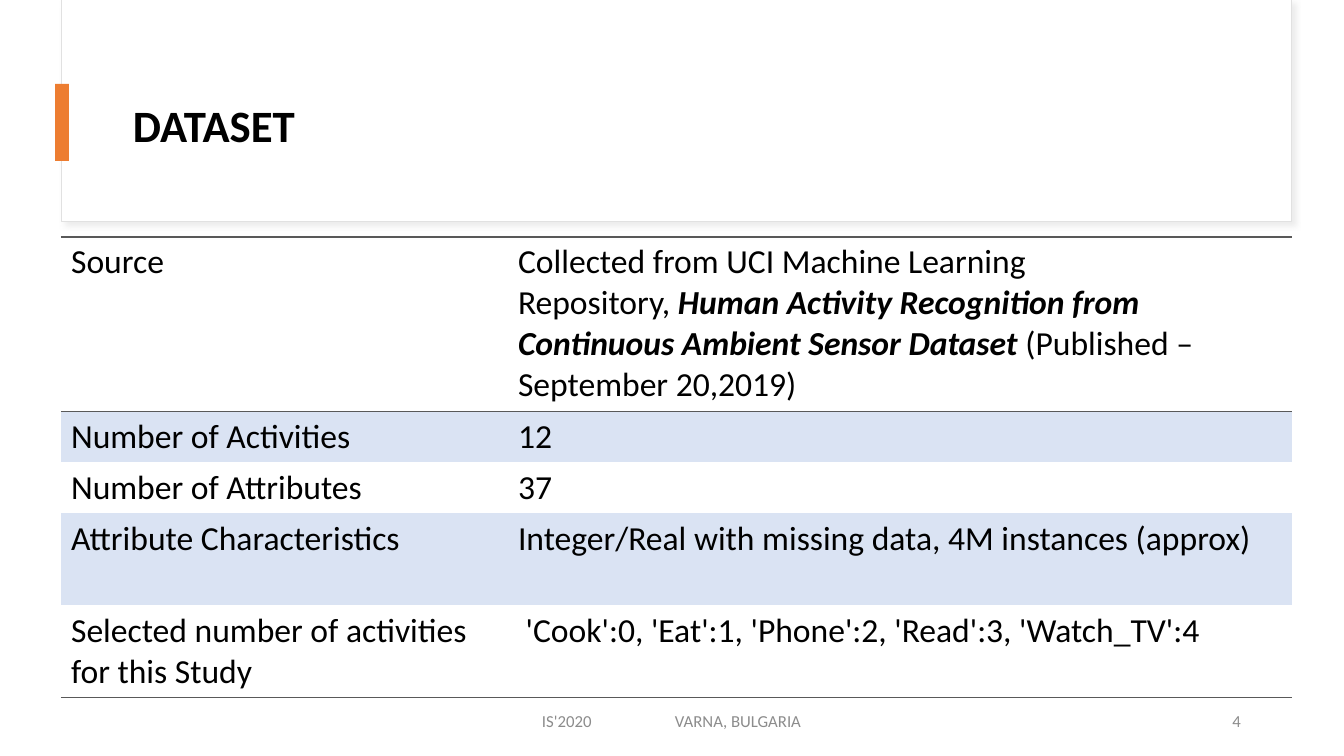
from dataclasses import dataclass

from lxml import etree
from pptx import Presentation
from pptx.dml.color import RGBColor
from pptx.enum.shapes import MSO_SHAPE
from pptx.enum.text import MSO_ANCHOR, PP_ALIGN
from pptx.oxml.ns import qn
from pptx.util import Emu, Pt

RECTANGLE = MSO_SHAPE.RECTANGLE
MIDDLE = MSO_ANCHOR.MIDDLE
LEFT, RIGHT = PP_ALIGN.LEFT, PP_ALIGN.RIGHT

PX = 914400 / 100.8
FONT = "Calibri"
BLACK, WHITE, GREY = "000000", "FFFFFF", "8C8C8C"
ORANGE, BAND, RULE, FRAME = "ED7D31", "DAE3F3", "595959", "E1E1E1"
NBSP = chr(160)


@dataclass
class Panel:
    left: int
    top: int
    width: int
    height: int
    fill: str
    line: str = ""
    shadow: bool = False


@dataclass
class Label:
    text: str
    left: int
    top: int
    width: int
    height: int
    size: int
    color: str
    bold: bool = False
    align: PP_ALIGN = LEFT
    tab: int = 0


@dataclass
class Span:
    text: str
    strong: bool = False


@dataclass
class Row:
    name: str
    value: list[Span]
    height: int
    fill: str = ""
    top_rule: bool = False
    bottom_rule: bool = False


PANELS = [
    Panel(62, 0, 1230, 222, WHITE, FRAME, shadow=True),
    Panel(55, 84, 14, 77, ORANGE),
]
LABELS = [
    Label("DATASET", 133, 60, 1100, 130, 32, BLACK, bold=True),
    Label("IS'2020\tVARNA, BULGARIA", 542, 701, 357, 40, 12, GREY, tab=133),
    Label("4", 950, 701, 291, 40, 12, GREY, align=RIGHT),
]
COLUMNS = [447, 784]
ROWS = [
    Row("Source", [
        Span(f"Collected from UCI Machine Learning Repository,{NBSP}"),
        Span(f"Human Activity{NBSP}Recognition from Continuous Ambient Sensor Dataset", True),
        Span(f"{NBSP}(Published – September{NBSP}20,2019)"),
    ], 174, top_rule=True, bottom_rule=True),
    Row("Number of Activities", [Span("12")], 51, BAND, top_rule=True),
    Row("Number of Attributes", [Span("37")], 51),
    Row("Attribute Characteristics",
        [Span("Integer/Real with missing data, 4M instances (approx)")], 92, BAND),
    Row("Selected number of activities for this Study",
        [Span(f"{NBSP}'Cook':0,{NBSP}'Eat':1, 'Phone':2, 'Read':3, 'Watch_TV':4")],
        92, bottom_rule=True),
]


def px(length: int) -> Emu:
    return Emu(round(length * PX))


def rgb(color: str) -> RGBColor:
    return RGBColor.from_string(color)


def style_font(font, size: int, color: str) -> None:
    font.name = FONT
    font.size = Pt(size)
    font.color.rgb = rgb(color)


def add_child(parent, tag: str, **attributes):
    return etree.SubElement(parent, qn(tag), attributes)


def draw_panel(page, panel: Panel) -> None:
    shape = page.shapes.add_shape(
        RECTANGLE, px(panel.left), px(panel.top), px(panel.width), px(panel.height))
    shape.fill.solid()
    shape.fill.fore_color.rgb = rgb(panel.fill)
    if panel.line:
        shape.line.color.rgb = rgb(panel.line)
        shape.line.width = Pt(0.75)
    else:
        shape.line.fill.background()
    shape.shadow.inherit = False
    if panel.shadow:
        effects = shape._element.spPr.find(qn("a:effectLst"))
        shadow = add_child(effects, "a:outerShdw", blurRad=str(Pt(4)), dist=str(Pt(3)),
                           dir=str(45 * 60000), algn="tl", rotWithShape="0")
        tint = add_child(shadow, "a:srgbClr", val="D9D9D9")
        add_child(tint, "a:alpha", val="50000")


def draw_label(page, label: Label) -> None:
    box = page.shapes.add_textbox(
        px(label.left), px(label.top), px(label.width), px(label.height))
    frame = box.text_frame
    frame.word_wrap = True
    frame.vertical_anchor = MIDDLE
    frame.margin_left = frame.margin_right = 0
    para = frame.paragraphs[0]
    para.text = label.text
    para.alignment = label.align
    if label.tab:
        tabs = add_child(para._p.get_or_add_pPr(), "a:tabLst")
        add_child(tabs, "a:tab", pos=str(px(label.tab)), algn="l")
    style_font(para.font, label.size, label.color)
    para.font.bold = label.bold


def set_borders(cell, row: Row) -> None:
    properties = cell._tc.get_or_add_tcPr()
    sides = {"L": False, "R": False, "T": row.top_rule, "B": row.bottom_rule}
    for side, ruled in sides.items():
        line = add_child(properties, f"a:ln{side}", w=str(Pt(1)))
        if ruled:
            add_child(add_child(line, "a:solidFill"), "a:srgbClr", val=RULE)
        else:
            add_child(line, "a:noFill")


def fill_cell(cell, spans: list[Span], row: Row) -> None:
    set_borders(cell, row)
    if row.fill:
        cell.fill.solid()
        cell.fill.fore_color.rgb = rgb(row.fill)
    else:
        cell.fill.background()
    para = cell.text_frame.paragraphs[0]
    style_font(para.font, 24, BLACK)
    for span in spans:
        run = para.add_run()
        run.text = span.text
        style_font(run.font, 24, BLACK)
        run.font.bold = run.font.italic = span.strong


def draw_table(page, left: int, top: int) -> None:
    height = sum(row.height for row in ROWS)
    table = page.shapes.add_table(
        len(ROWS), len(COLUMNS), px(left), px(top), px(sum(COLUMNS)), px(height)).table
    table.first_row = table.horz_banding = False
    for column, width in zip(table.columns, COLUMNS):
        column.width = px(width)
    for index, row in enumerate(ROWS):
        table.rows[index].height = px(row.height)
        fill_cell(table.cell(index, 0), [Span(row.name)], row)
        fill_cell(table.cell(index, 1), row.value, row)


def main() -> None:
    deck = Presentation()
    deck.slide_width, deck.slide_height = px(1344), px(756)
    page = deck.slides.add_slide(deck.slide_layouts[6])
    # Title frame and accent bar
    for panel in PANELS:
        draw_panel(page, panel)
    # Dataset facts
    draw_table(page, 61, 237)
    # Title and footer
    for label in LABELS:
        draw_label(page, label)
    deck.save("out.pptx")


if __name__ == "__main__":
    main()
